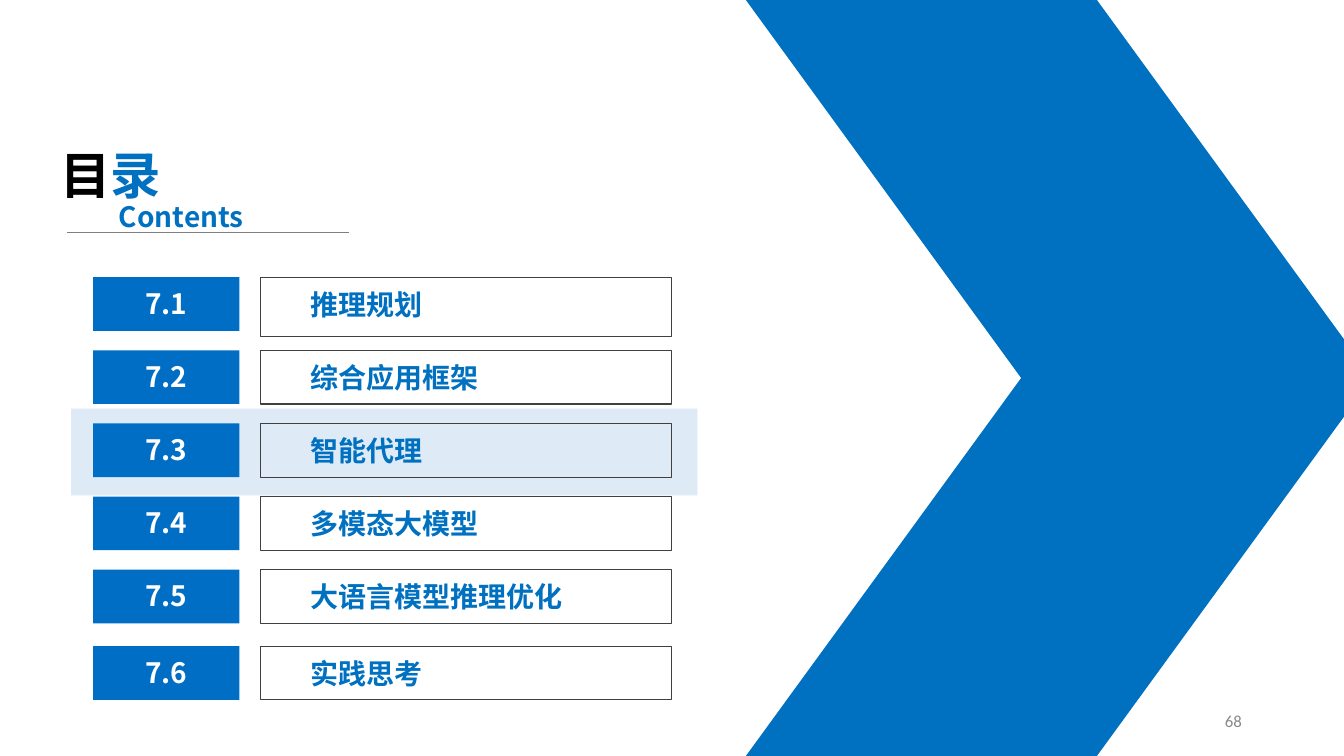
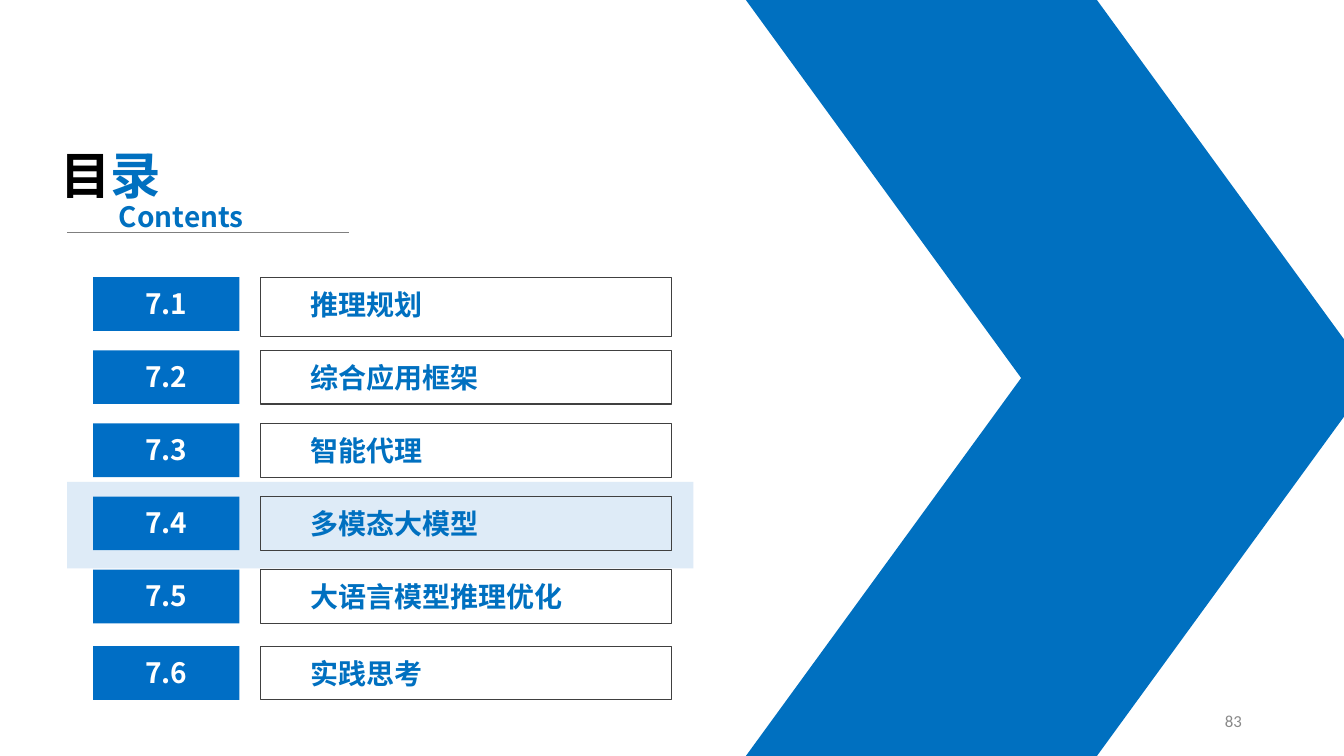
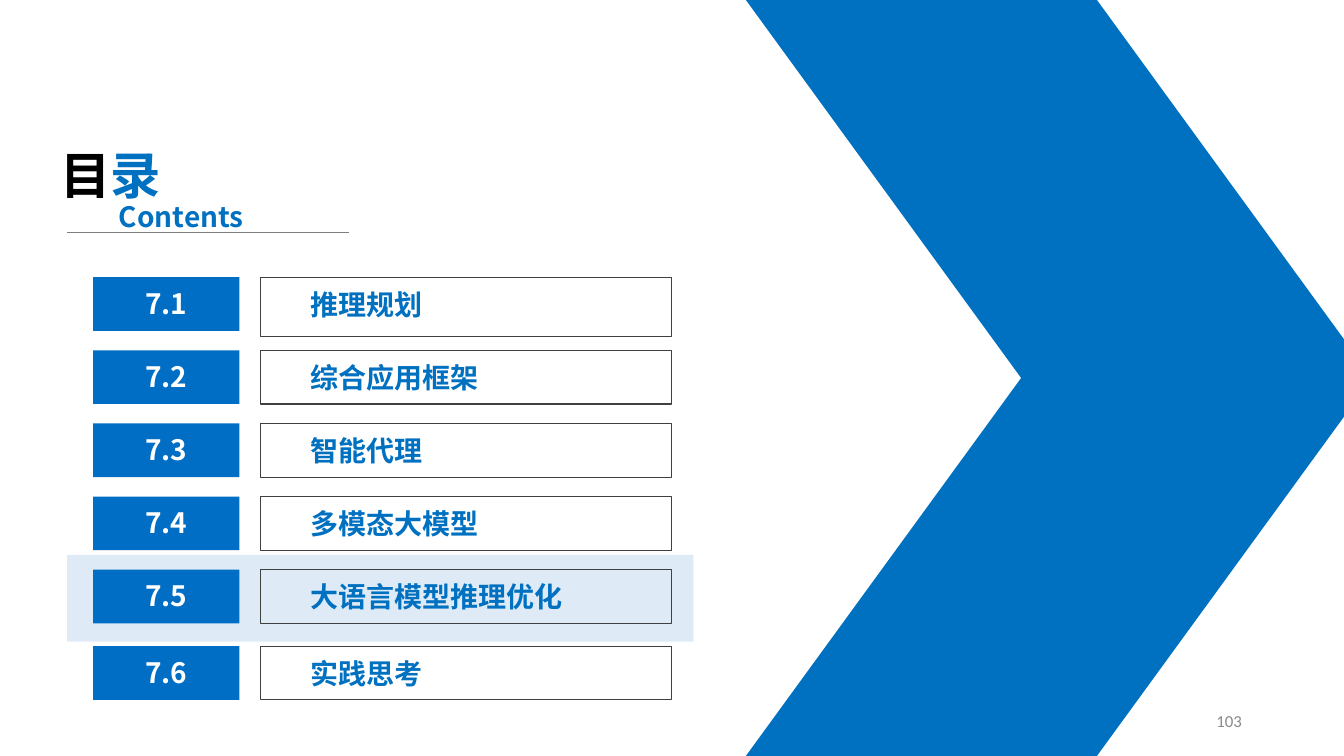
from dataclasses import dataclass

from lxml.etree import SubElement
from pptx import Presentation
from pptx.dml.color import RGBColor as RGB
from pptx.enum.shapes import MSO_CONNECTOR as CONNECTOR, MSO_SHAPE as SHAPE
from pptx.enum.text import MSO_ANCHOR as ANCHOR, MSO_AUTO_SIZE as FIT, PP_ALIGN as ALIGN
from pptx.oxml.ns import qn
from pptx.util import Inches, Pt


@dataclass(frozen=True)
class Theme:
    blue: RGB = RGB.from_string("0070C0")
    number_blue: RGB = RGB.from_string("006EC5")
    pale_blue: RGB = RGB.from_string("DEEBF7")
    white: RGB = RGB.from_string("FFFFFF")
    black: RGB = RGB.from_string("000000")
    border: RGB = RGB.from_string("404040")
    rule: RGB = RGB.from_string("7F7F7F")
    page: RGB = RGB.from_string("898989")
    font: str = "Noto Sans CJK SC"
    page_font: str = "Calibri"
    title_size: int = 36
    entry_size: int = 20
    page_size: int = 12


theme = Theme()

deck = Presentation()
deck.slide_width, deck.slide_height = Inches(13.33), Inches(7.5)
title_only = deck.slide_layouts[5]

ENTRIES = ["推理规划", "综合应用框架", "智能代理", "多模态大模型", "大语言模型推理优化", "实践思考"]

# All places are percentages of the slide's width and height.
FIRST_ROW, ROW_STEP, ROW_HEIGHT = 36.67, 9.67, 7.1
FIRST_BOX_HEIGHT, LAST_ROW_SHIFT = 7.8, 0.45
NUMBER_LEFT, NUMBER_WIDTH = 6.92, 10.9
ENTRY_LEFT, ENTRY_WIDTH = 19.35, 30.6
BAND_WIDTH, BAND_HEIGHT, BAND_RISE = 46.6, 11.47, 1.95
CHEVRON_LEFT, CHEVRON_WIDTH, CHEVRON_SLANT = 55.5, 46.6, 0.728

row_tops = [FIRST_ROW + ROW_STEP * row for row in range(len(ENTRIES))]
row_tops[-1] += LAST_ROW_SHIFT


def area(left, top, width, height):
    """Turn percentages of the slide into left, top, width and height."""
    across, down = deck.slide_width / 100, deck.slide_height / 100
    return int(left * across), int(top * down), int(width * across), int(height * down)


def write(frame, *parts, size=theme.entry_size, color=theme.blue, font=theme.font,
          bold=True, align=ALIGN.LEFT, anchor=ANCHOR.TOP, inset_left=0.1, inset_top=0.05):
    """Fill a text frame with one paragraph; a part is a text or a (text, colour) pair."""
    frame.word_wrap, frame.auto_size, frame.vertical_anchor = True, FIT.NONE, anchor
    frame.margin_left, frame.margin_top = Inches(inset_left), Inches(inset_top)
    frame.margin_right, frame.margin_bottom = Inches(0.1), Inches(0.05)
    paragraph = frame.paragraphs[0]
    paragraph.alignment = align
    for part in parts:
        text, part_color = (part, color) if isinstance(part, str) else part
        run = paragraph.add_run()
        run.text = text
        run.font.name, run.font.size, run.font.bold = font, Pt(size), bold
        run.font.color.rgb = part_color
        SubElement(run.font._element, qn("a:ea")).set("typeface", font)


# Highlighted entry, left edge of its band, page number
for current, band_left, page in [(3, 5.3, "68"), (4, 5, "83"), (5, 5, "103")]:
    slide = deck.slides.add_slide(title_only)
    shapes = slide.shapes

    title = shapes.title
    title.left, title.top, title.width, title.height = area(3.75, 18.4, 11.8, 9.47)
    write(title.text_frame, ("目", theme.black), "录", size=theme.title_size)

    band_top = row_tops[current - 1] - BAND_RISE
    band = shapes.add_shape(SHAPE.RECTANGLE, *area(band_left, band_top, BAND_WIDTH, BAND_HEIGHT))
    band.shadow.inherit = False
    band.fill.solid()
    band.fill.fore_color.rgb = theme.pale_blue
    band.line.fill.background()

    for half_top in (50, 0):
        chevron_half = shapes.add_shape(
            SHAPE.PARALLELOGRAM, *area(CHEVRON_LEFT, half_top, CHEVRON_WIDTH, 50))
        chevron_half.adjustments[0] = CHEVRON_SLANT
        chevron_half.shadow.inherit = False
        chevron_half.fill.solid()
        chevron_half.fill.fore_color.rgb = theme.blue
        chevron_half.line.fill.background()
        if half_top == 0:
            chevron_half._element.spPr.xfrm.set("flipV", "1")

    left, top, width, _ = area(5, 30.8, 20.95, 0)
    rule = shapes.add_connector(CONNECTOR.STRAIGHT, left, top, left + width, top)
    rule.line.color.rgb, rule.line.width = theme.rule, Pt(0.5)
    SubElement(rule._element.spPr, qn("a:effectLst"))

    write(shapes.add_textbox(*area(8.1, 25.73, 11.8, 5.87)).text_frame, "Contents")

    for row, (entry, row_top) in enumerate(zip(ENTRIES, row_tops)):
        box_height = ROW_HEIGHT if row else FIRST_BOX_HEIGHT
        entry_box = shapes.add_shape(
            SHAPE.RECTANGLE, *area(ENTRY_LEFT, row_top, ENTRY_WIDTH, box_height))
        entry_box.shadow.inherit = False
        entry_box.fill.background()
        entry_box.line.color.rgb, entry_box.line.width = theme.border, Pt(0.75)
        write(entry_box.text_frame, entry, inset_left=0.5, inset_top=0.1)

        number_box = shapes.add_shape(
            SHAPE.RECTANGLE, *area(NUMBER_LEFT, row_top, NUMBER_WIDTH, ROW_HEIGHT))
        number_box.shadow.inherit = False
        number_box.fill.solid()
        number_box.fill.fore_color.rgb = theme.number_blue
        number_box.line.fill.background()
        write(number_box.text_frame, f"7.{row + 1}", color=theme.white,
              align=ALIGN.CENTER, inset_top=0.09)

    write(shapes.add_textbox(*area(70.65, 92.67, 22.5, 5.33)).text_frame, page,
          size=theme.page_size, color=theme.page, font=theme.page_font, bold=False,
          align=ALIGN.RIGHT, anchor=ANCHOR.MIDDLE)

deck.save("out.pptx")
